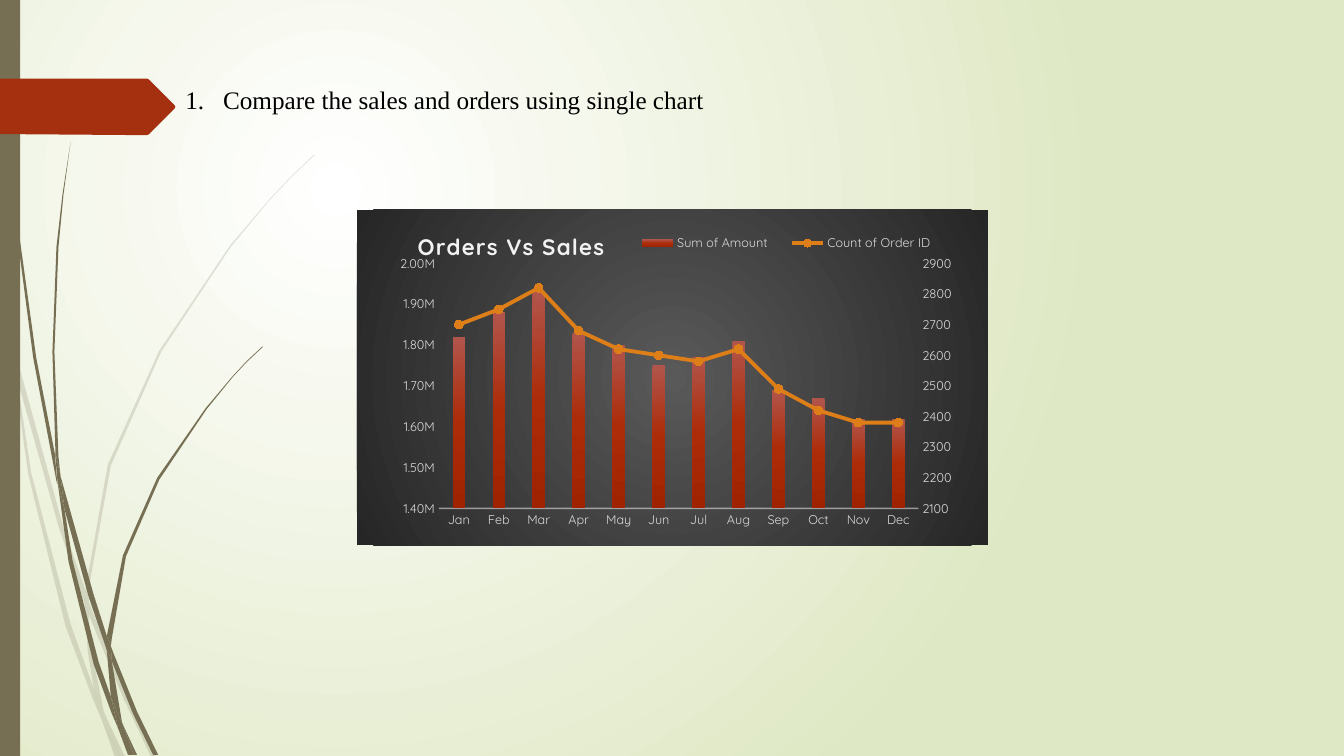
import pptx
import copy
import pptx.chart.axis
import pptx.chart.data
import pptx.dml.color
import pptx.enum.chart
import pptx.enum.shapes
import pptx.oxml
import pptx.oxml.ns
import pptx.util

Pt = pptx.util.Pt
RGBColor = pptx.dml.color.RGBColor
qn = pptx.oxml.ns.qn

OLIVE = RGBColor(0x76, 0x6F, 0x54)
RUST = RGBColor(0xA5, 0x30, 0x10)
BLACK = RGBColor(0, 0, 0)
WHITE = RGBColor(0xFF, 0xFF, 0xFF)
PALE_GREEN = RGBColor(0xDF, 0xE8, 0xC4)
CHARCOAL = RGBColor(0x59, 0x59, 0x59)
NEAR_BLACK = RGBColor(0x26, 0x26, 0x26)
LABEL_GREY = RGBColor(0xD9, 0xD9, 0xD9)
TITLE_GREY = RGBColor(0xF2, 0xF2, 0xF2)
BAR_TOP = RGBColor(0xB1, 0x55, 0x4C)
BAR_MIDDLE = RGBColor(0xAC, 0x2C, 0x09)
BAR_BOTTOM = RGBColor(0xA0, 0x23, 0x01)
ORANGE = RGBColor(0xDE, 0x7E, 0x18)
MARKER_ORANGE = RGBColor(0xE8, 0x7E, 0x0E)

# Corner points of each outline, in units of 0.72 points
PALE_STEMS = [
    "11,350 9,322 0,282 0,299 10,344",
    "58,522 84,599 85,586 62,520 14,345 17,376",
    "92,607 88,596 88,610 123,694 150,751 155,751 127,692",
    "119,751 124,751 105,711",
    "93,683 70,619 31,469 17,376 11,350 28,470 65,621 92,693 101,714 99,707",
    "84,599 87,646 93,683 96,692 105,711 103,706 91,646 88,610 88,608",
    "88,584 110,462 160,349 229,245 268,198 290,175 312,154 312,153 289,175 268,197 228,244 "
    "158,348 107,461 85,584 85,586 88,596",
    "101,714 114,751 119,751",
    "88,608 88,610 88,596 85,586 84,599",
    "96,692 93,683 99,707 101,714 119,751 105,711",
]
DARK_STEMS = [
    "7,110 17,233 33,355 56,477 57,481 55,457 55,453 36,355 19,232 8,109 5,48 4,0 3,0 4,48",
    "88,592 106,645 106,633 106,631 93,590 60,472 64,505",
    "113,649 110,641 111,656 132,708 152,749 157,749 136,706",
    "110,691 98,657 72,556 64,505 57,477 68,557 93,659 111,708 117,722 116,717",
    "60,472 58,453 54,349 58,245 63,193 70,141 62,193 56,245 52,349 55,449",
    "133,749 136,749 122,719",
    "57,477 64,505 60,472 55,449 55,453",
    "111,633 125,552 158,476 205,406 231,374 245,359 261,344 260,344 245,358 231,373 204,405 "
    "156,474 122,551 106,631 110,641",
    "117,722 127,749 131,749",
    "106,645 110,691 116,706 122,719 121,716 111,656 109,651",
    "106,645 109,651 111,656 110,641 106,631 106,633",
    "116,706 110,691 116,717 117,722 130,749 133,749 122,719",
]
RIBBON = "173,30 148,55 146,56 136,56 0,55 0,0 136,0 146,0 148,1 173,26 174,28"

MONTHS = ["Jan", "Feb", "Mar", "Apr", "May", "Jun", "Jul", "Aug", "Sep", "Oct", "Nov", "Dec"]
SALES_IN_TEN_THOUSANDS = [182, 188, 193, 183, 180, 175, 177, 181, 169, 167, 162, 162]
ORDERS = [2700, 2750, 2820, 2680, 2620, 2600, 2580, 2620, 2490, 2420, 2380, 2380]


def style_font(font, size, color, face="Quicksand", bold=False):
    font.size, font.name, font.bold = Pt(size), face, bold
    font.color.rgb = color


def write_text(frame, text, spacing=0, **style):
    run = frame.paragraphs[0].add_run()
    run.text = text
    style_font(run.font, **style)
    run._r.get_or_add_rPr().set("spc", str(spacing))
    return frame.paragraphs[0]


def gradient(direction, *colors):
    """Evenly spaced gradient; direction is an a:lin or a:path element."""
    stops = "".join(f'<a:gs pos="{100000 * i // (len(colors) - 1)}"><a:srgbClr val="{color}"/></a:gs>'
                    for i, color in enumerate(colors))
    return pptx.oxml.parse_xml(f'<a:gradFill {pptx.oxml.ns.nsdecls("a")} rotWithShape="1">'
                               f'<a:gsLst>{stops}</a:gsLst>{direction}</a:gradFill>')


def circle(far):
    return f'<a:path path="circle"><a:fillToRect l="50000" t="50000" r="{far}" b="{far}"/></a:path>'


def set_gradient(fill, owner, direction, *colors):
    fill.gradient()
    plain = next(owner.iter(qn("a:gradFill")))
    plain.getparent().replace(plain, gradient(direction, *colors))


def set_alpha(owner, percent):
    for color in owner.iter(qn("a:srgbClr")):
        color.append(pptx.oxml.parse_xml(
            f'<a:alpha {pptx.oxml.ns.nsdecls("a")} val="{percent * 1000}"/>'))


def paint(shape, color):
    shape.shadow.inherit = False
    shape.fill.solid()
    shape.fill.fore_color.rgb = color
    shape.line.fill.background()
    return shape


def draw_outline(shapes, outline, color, left, top):
    start, *corners = [tuple(int(n) for n in corner.split(",")) for corner in outline.split()]
    builder = shapes.build_freeform(*start, scale=Pt(0.72))
    builder.add_line_segments(corners, close=True)
    return paint(builder.convert_to_shape(Pt(left), Pt(top)), color)


def draw_decoration(slide, left, top, height):
    # Grass stems, the pale ones behind
    for stems, alpha in ((PALE_STEMS, 20), (DARK_STEMS, 100)):
        grass = slide.shapes.add_group_shape()
        for stem in stems:
            shape = draw_outline(grass.shapes, stem, OLIVE, left, top)
            if alpha < 100:
                set_alpha(shape.element, alpha)
    # Side bar and ribbon
    paint(slide.shapes.add_shape(pptx.enum.shapes.MSO_SHAPE.RECTANGLE,
                                 Pt(left), Pt(top), Pt(14.4), Pt(height)), OLIVE)
    draw_outline(slide.shapes, RIBBON, RUST, left, top + 56.2)


def draw_heading(slide, left, top, width, height):
    frame = slide.shapes.add_textbox(Pt(left), Pt(top), Pt(width), Pt(height)).text_frame
    frame.word_wrap = True
    question = write_text(frame, "Compare the sales and orders using single chart",
                          size=18, color=BLACK, face="Times New Roman")
    question.line_spacing, question.space_after = 1.07, Pt(8)
    numbering = question._p.get_or_add_pPr()
    numbering.set("marL", str(Pt(27)))
    numbering.set("indent", str(-Pt(27)))
    numbering.append(pptx.oxml.parse_xml(
        f'<a:buAutoNum {pptx.oxml.ns.nsdecls("a")} type="arabicPeriod"/>'))


def place(part, index, target="", **fractions):
    """Manual layout of a chart part, in fractions of the chart."""
    for old in part.findall(qn("c:layout")):
        part.remove(old)
    settings = {"xMode": "edge", "yMode": "edge", **fractions}
    if target:
        settings = {"layoutTarget": target, **settings}
    inner = "".join(f'<c:{key} val="{value}"/>' for key, value in settings.items())
    part.insert(index, pptx.oxml.parse_xml(f'<c:layout {pptx.oxml.ns.nsdecls("c")}>'
                                           f'<c:manualLayout>{inner}</c:manualLayout></c:layout>'))


def set_scale(axis, low, high, step, number_format):
    axis.minimum_scale, axis.maximum_scale, axis.major_unit = low, high, step
    axis.tick_labels.number_format = number_format
    axis.tick_labels.number_format_is_linked = False


def move_orders_to_right_axis(chart, plot_area):
    orders = chart.plots[0].series[1]._element
    for flag in orders.findall(qn("c:invertIfNegative")):
        orders.remove(flag)
    line_plot = pptx.oxml.parse_xml(
        f'<c:lineChart {pptx.oxml.ns.nsdecls("c")}><c:grouping val="standard"/><c:varyColors val="0"/>'
        '<c:marker val="1"/><c:axId val="301"/><c:axId val="302"/></c:lineChart>')
    line_plot.insert(2, orders)
    plot_area.find(qn("c:barChart")).addnext(line_plot)
    months, left = plot_area.find(qn("c:catAx")), plot_area.find(qn("c:valAx"))
    right, hidden = copy.deepcopy(left), copy.deepcopy(months)
    changes = ((right, {"axId": "302", "crossAx": "301", "axPos": "r", "crosses": "max"}),
               (hidden, {"axId": "301", "crossAx": "302", "delete": "1"}))
    for axis, values in changes:
        for tag, value in values.items():
            axis.find(qn(f"c:{tag}")).set("val", value)
    left.addnext(right)
    right.addnext(hidden)
    set_scale(pptx.chart.axis.ValueAxis(right), 2100, 2900, 100, "General")


def draw_chart(slide, left, top, width, height):
    data = pptx.chart.data.CategoryChartData()
    data.categories = MONTHS
    data.add_series("Sum of Amount", [n * 10000 for n in SALES_IN_TEN_THOUSANDS])
    data.add_series("Count of Order ID", ORDERS)
    chart = slide.shapes.add_chart(pptx.enum.chart.XL_CHART_TYPE.COLUMN_CLUSTERED,
                                   Pt(left), Pt(top), Pt(width), Pt(height), data).chart
    style_font(chart.font, 10, BLACK)
    space = chart.element
    plot_area = next(space.iter(qn("c:plotArea")))

    # Dark backdrop
    backdrop = pptx.oxml.parse_xml(f'<c:spPr {pptx.oxml.ns.nsdecls("c", "a")}><a:ln><a:noFill/></a:ln></c:spPr>')
    backdrop.insert(0, gradient(circle(50000), CHARCOAL, NEAR_BLACK))
    space.find(qn("c:chart")).addnext(backdrop)

    # Axes
    for axis in (chart.category_axis, chart.value_axis):
        axis.major_tick_mark = axis.minor_tick_mark = pptx.enum.chart.XL_TICK_MARK.NONE
        axis.has_major_gridlines = False
        style_font(axis.tick_labels.font, 9, LABEL_GREY)
    base_line = chart.category_axis.format.line
    base_line.width = Pt(1)
    base_line.color.rgb = TITLE_GREY
    set_alpha(next(plot_area.find(qn("c:catAx")).iter(qn("a:ln"))), 54)
    chart.value_axis.format.line.fill.background()
    set_scale(chart.value_axis, 1400000, 2000000, 100000, '0.00,,"M"')
    move_orders_to_right_axis(chart, plot_area)

    # Series
    bars, line_plot = chart.plots
    bars.gap_width, bars.overlap, bars.vary_by_categories = 219, -27, False
    sales, orders = bars.series[0], line_plot.series[0]
    set_gradient(sales.format.fill, sales._element, '<a:lin ang="5400000" scaled="0"/>',
                 BAR_TOP, BAR_MIDDLE, BAR_BOTTOM)
    orders.smooth = False
    orders.format.line.width = Pt(2.75)
    orders.format.line.color.rgb = ORANGE
    orders.marker.style, orders.marker.size = pptx.enum.chart.XL_MARKER_STYLE.CIRCLE, 6
    orders.marker.format.fill.solid()
    orders.marker.format.fill.fore_color.rgb = MARKER_ORANGE
    orders.marker.format.line.color.rgb = MARKER_ORANGE

    # Title, legend and plot positions
    write_text(chart.chart_title.text_frame, "Orders Vs Sales", spacing=100,
               size=16, color=TITLE_GREY, bold=True)
    chart.has_legend = True
    chart.legend.position = pptx.enum.chart.XL_LEGEND_POSITION.RIGHT
    chart.legend.include_in_layout = False
    style_font(chart.legend.font, 9, LABEL_GREY)
    place(next(space.iter(qn("c:title"))), 1, x=0.09, y=0.05)
    place(next(space.iter(qn("c:legend"))), 1, x=0.42, y=0.06, w=0.52, h=0.08)
    place(plot_area, 0, target="inner", x=0.13, y=0.16, w=0.76, h=0.73)


def main():
    deck = pptx.Presentation()
    deck.slide_width, deck.slide_height = Pt(960), Pt(540)
    slide = deck.slides.add_slide(deck.slide_layouts[6])
    set_gradient(slide.background.fill, slide.element, circle(100000), WHITE, PALE_GREEN)
    draw_decoration(slide, 0, 0, 540)
    draw_heading(slide, 125.3, 55.4, 744.5, 29.5)
    draw_chart(slide, 254.9, 149.8, 450.7, 239.8)
    deck.save("out.pptx")


if __name__ == "__main__":
    main()
